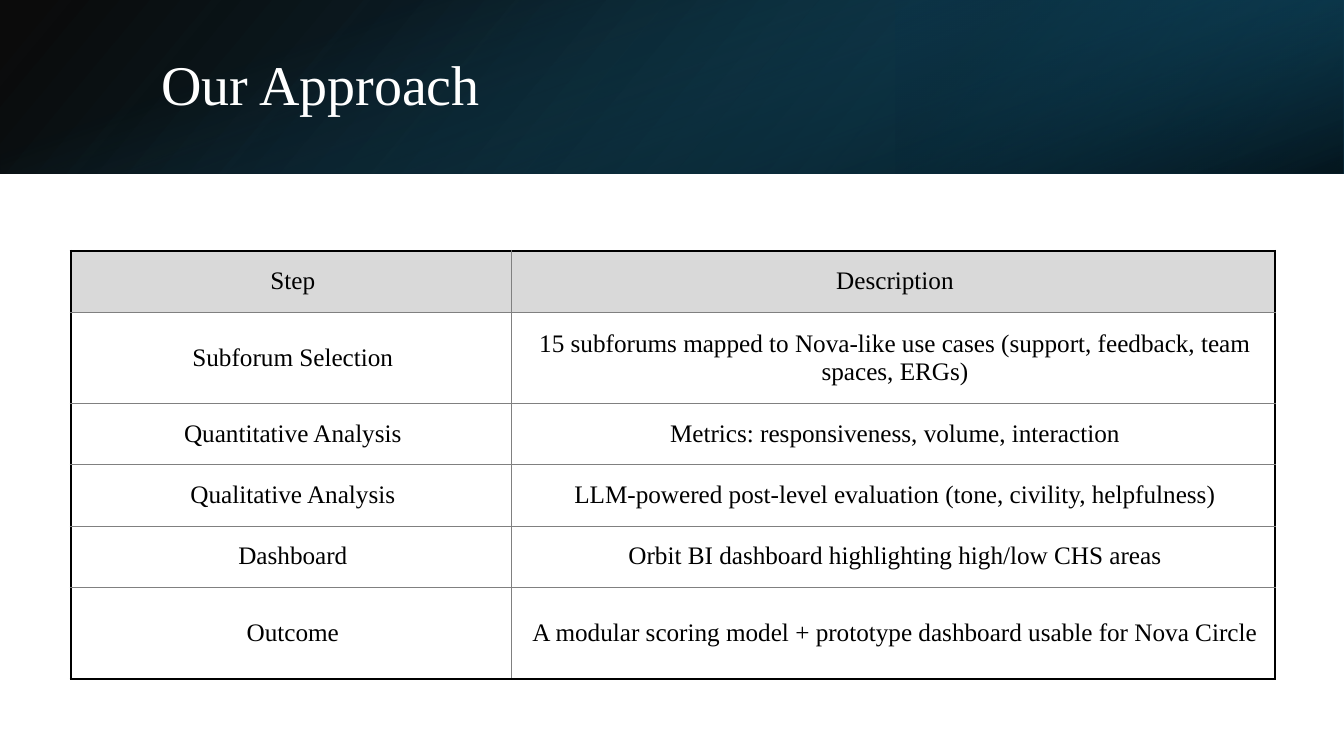
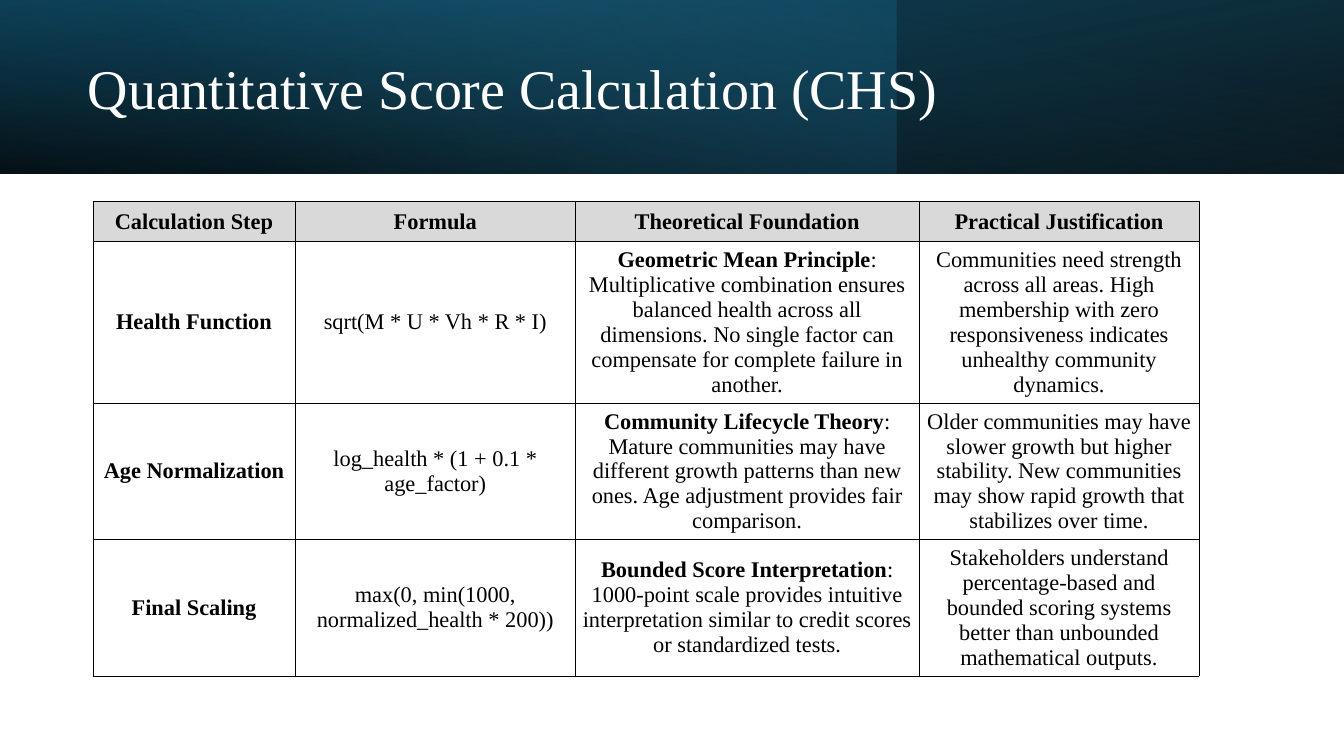
import lxml.etree
import pptx
import pptx.dml.color
import pptx.enum.dml
import pptx.enum.shapes
import pptx.enum.text
import pptx.oxml.ns
import pptx.util
from pptx.dml.color import RGBColor
from pptx.util import Cm

BLACK = RGBColor(0x00, 0x00, 0x00)
WHITE = RGBColor(0xFF, 0xFF, 0xFF)
GREY = RGBColor(0x80, 0x80, 0x80)
HEADER_GREY = RGBColor(0xD9, 0xD9, 0xD9)
DEEP_TEAL = RGBColor(0x10, 0x48, 0x62)
TEAL = RGBColor(0x15, 0x60, 0x82)
NAVY = RGBColor(0x0B, 0x30, 0x41)
SKY = RGBColor(0x46, 0xB1, 0xE1)

FONT = "Times New Roman"
SLIDE_WIDTH, SLIDE_HEIGHT = Cm(33.87), Cm(19.05)
BAND_HEIGHT = Cm(4.37)
BAND_SPLIT = Cm(22.58)
BAND = (0, 0, SLIDE_WIDTH, BAND_HEIGHT)
BAND_LEFT = (0, 0, BAND_SPLIT, BAND_HEIGHT)
BAND_RIGHT = (BAND_SPLIT, 0, SLIDE_WIDTH - BAND_SPLIT, BAND_HEIGHT)

APPROACH_LAYERS = [
    dict(box=BAND, stops=[(0, BLACK, 96), (100, DEEP_TEAL, 100)], angle=140, flip=True),
    dict(box=BAND_RIGHT, stops=[(19, NAVY, 68), (100, TEAL, 79)], angle=320, flip=True, rotation=180),
    dict(box=BAND, stops=[(23, TEAL, 0), (99, BLACK, 74)], angle=340, rotation=90),
]
SCORE_LAYERS = [
    dict(box=BAND, stops=[(0, BLACK, 96), (100, DEEP_TEAL, 100)], angle=100, flip=True, rotation=180),
    dict(box=BAND_LEFT, stops=[(0, TEAL, 41), (74, SKY, 0)], angle=140),
    dict(box=BAND, stops=[(0, BLACK, 63), (78, TEAL, 15)], angle=260, flip=True),
]

APPROACH_ROWS = [
    ("Step", "Description"),
    ("Subforum Selection",
     "15 subforums mapped to Nova-like use cases (support, feedback, team spaces, ERGs)"),
    ("Quantitative Analysis", "Metrics: responsiveness, volume, interaction"),
    ("Qualitative Analysis", "LLM-powered post-level evaluation (tone, civility, helpfulness)"),
    ("Dashboard", "Orbit BI dashboard highlighting high/low CHS areas"),
    ("Outcome", "A modular scoring model + prototype dashboard usable for Nova Circle"),
]
SCORE_HEADINGS = ["Calculation Step", "Formula", "Theoretical Foundation", "Practical Justification"]
SCORE_STEPS = [
    ("Health Function", "sqrt(M * U * Vh * R * I)", "Geometric Mean Principle",
     ": Multiplicative combination ensures balanced health across all dimensions. "
     "No single factor can compensate for complete failure in another.",
     "Communities need strength across all areas. High membership with zero "
     "responsiveness indicates unhealthy community dynamics."),
    ("Age Normalization", "log_health * (1 + 0.1 * age_factor)", "Community Lifecycle Theory",
     ": Mature communities may have different growth patterns than new ones. "
     "Age adjustment provides fair comparison.",
     "Older communities may have slower growth but higher stability. "
     "New communities may show rapid growth that stabilizes over time."),
    ("Final Scaling", "max(0, min(1000, normalized_health * 200))", "Bounded Score Interpretation",
     ": 1000-point scale provides intuitive interpretation similar to credit scores "
     "or standardized tests.",
     "Stakeholders understand percentage-based and bounded scoring systems better "
     "than unbounded mathematical outputs."),
]


def add_run(paragraph, text, size, color, bold=False):
    """Append one formatted run to a paragraph."""
    run = paragraph.add_run()
    run.text = text
    run.font.name = FONT
    run.font.size = pptx.util.Pt(size)
    run.font.bold = bold
    run.font.color.rgb = color


def add_gradient_layer(slide, box, stops, angle, flip=False, rotation=0):
    """Cover a box with a translucent gradient; the angle runs clockwise."""
    left, top, width, height = box
    if rotation == 90:
        left, top = left + (width - height) // 2, top + (height - width) // 2
        width, height = height, width
    shape = slide.shapes.add_shape(
        pptx.enum.shapes.MSO_SHAPE.RECTANGLE, left, top, width, height)
    shape.rotation = rotation
    shape.shadow.inherit = False
    shape.line.fill.background()
    properties = shape._element.spPr
    if flip:
        properties.get_or_add_xfrm().set("flipH", "1")
    shape.fill.gradient()
    shape.fill.gradient_angle = 360 - angle
    for gradient_stop, (position, color, _) in zip(shape.fill.gradient_stops, stops):
        gradient_stop.position = position / 100
        gradient_stop.color.rgb = color
    color_elements = properties.iter(pptx.oxml.ns.qn("a:srgbClr"))
    for element, (_, _, opacity) in zip(list(color_elements), stops):
        alpha = lxml.etree.SubElement(element, pptx.oxml.ns.qn("a:alpha"))
        alpha.set("val", str(opacity * 1000))


def add_header(slide, layers, title, box):
    """Draw the gradient band and put the slide title over it."""
    for layer in layers:
        add_gradient_layer(slide, **layer)
    placeholder = slide.shapes.title
    slide.shapes._spTree.append(placeholder._element)
    placeholder.left, placeholder.top, placeholder.width, placeholder.height = box
    frame = placeholder.text_frame
    frame.word_wrap = True
    frame.auto_size = pptx.enum.text.MSO_AUTO_SIZE.NONE
    frame.vertical_anchor = pptx.enum.text.MSO_ANCHOR.MIDDLE
    paragraph = frame.paragraphs[0]
    paragraph.alignment = pptx.enum.text.PP_ALIGN.LEFT
    paragraph.line_spacing = 0.9
    add_run(paragraph, title, 40, WHITE)


def set_borders(cell, borders):
    """Draw the left, right, top and bottom borders of a cell."""
    properties = cell._tc.get_or_add_tcPr()
    for side, (color, width) in zip("LRTB", borders):
        line = lxml.etree.SubElement(properties, pptx.oxml.ns.qn("a:ln" + side))
        line.set("w", str(pptx.util.Pt(width)))
        fill = lxml.etree.SubElement(line, pptx.oxml.ns.qn("a:solidFill"))
        lxml.etree.SubElement(fill, pptx.oxml.ns.qn("a:srgbClr")).set("val", str(color))


def fill_cell(cell, content, size, margins, color):
    """Write a cell, given as plain text or as a (bold, plain) pair."""
    cell.margin_left, cell.margin_top, cell.margin_right, cell.margin_bottom = margins
    cell.vertical_anchor = pptx.enum.text.MSO_ANCHOR.MIDDLE
    cell.fill.solid()
    cell.fill.fore_color.rgb = color
    paragraph = cell.text_frame.paragraphs[0]
    paragraph.alignment = pptx.enum.text.PP_ALIGN.CENTER
    bold_text, plain_text = content if isinstance(content, tuple) else ("", content)
    for text, bold in ((bold_text, True), (plain_text, False)):
        if text:
            add_run(paragraph, text, size, BLACK, bold)


def add_grid(slide, left, top, widths, heights, rows, size, margins, outer, inner):
    """Place a table with a grey heading row and separate outer and inner borders."""
    table = slide.shapes.add_table(
        len(rows), len(widths), left, top, sum(widths), sum(heights)).table
    table.first_row = False
    table.horz_banding = False
    for column, width in zip(table.columns, widths):
        column.width = width
    for row, height in zip(table.rows, heights):
        row.height = height
    last_row, last_column = len(rows) - 1, len(widths) - 1
    for row_index, contents in enumerate(rows):
        for column_index, content in enumerate(contents):
            cell = table.cell(row_index, column_index)
            at_edge = (column_index == 0, column_index == last_column,
                       row_index == 0, row_index == last_row)
            set_borders(cell, [outer if edge else inner for edge in at_edge])
            fill_cell(cell, content, size, margins, WHITE if row_index else HEADER_GREY)


def build_approach_slide(slide):
    """Build the slide that lists the steps of the approach."""
    add_header(slide, APPROACH_LAYERS, "Our Approach",
               (Cm(3.81), Cm(0.97), Cm(27.89), Cm(2.44)))
    low, high = Cm(1.54), Cm(2.31)
    add_grid(slide, Cm(1.78), Cm(6.32), [Cm(11.1), Cm(19.25)],
             [low, high, low, low, low, high], APPROACH_ROWS, 18,
             (Cm(0.43), Cm(0.33), Cm(0.33), Cm(0.33)), (BLACK, 1.5), (GREY, 0.5))


def build_score_slide(slide):
    """Build the slide that explains the score calculation."""
    add_header(slide, SCORE_LAYERS, "Quantitative Score Calculation (CHS)",
               (Cm(1.96), Cm(0.69), Cm(23.44), Cm(3.23)))
    rows = [[(heading, "") for heading in SCORE_HEADINGS]]
    for step, formula, principle, explanation, justification in SCORE_STEPS:
        rows.append([(step, ""), formula, (principle, explanation), justification])
    add_grid(slide, Cm(2.34), Cm(5.08), [Cm(5.1), Cm(7.06), Cm(8.66), Cm(7.06)],
             [Cm(1), Cm(4.08), Cm(3.43), Cm(3.43)], rows, 16,
             (Cm(0.15),) * 4, (BLACK, 0.5), (BLACK, 0.5))


def main():
    """Create and save the presentation."""
    presentation = pptx.Presentation()
    presentation.slide_width, presentation.slide_height = SLIDE_WIDTH, SLIDE_HEIGHT
    title_only = presentation.slide_layouts[5]
    for build in (build_approach_slide, build_score_slide):
        build(presentation.slides.add_slide(title_only))
    presentation.save("out.pptx")


if __name__ == "__main__":
    main()
